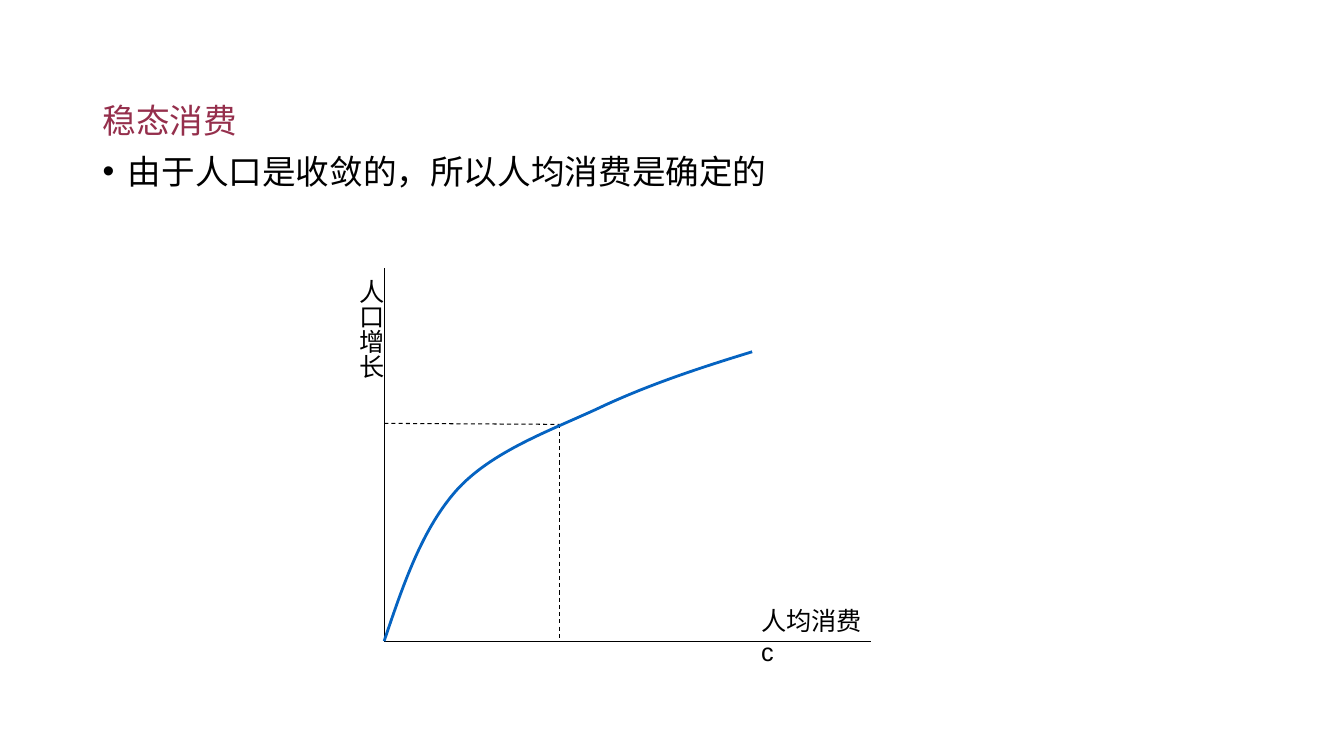
from lxml import etree
from pptx import Presentation
from pptx.dml.color import RGBColor
from pptx.enum import dml, shapes, text
from pptx.oxml import ns
from pptx.util import Inches, Pt

COLORS = {"heading": "952F4C", "ink": "000000", "curve": "0563C1"}
CJK_FONT = "Noto Sans CJK SC"

prs = Presentation()
prs.slide_width, prs.slide_height = Inches(13.33), Inches(7.5)
slide = prs.slides.add_slide(prs.slide_layouts[6])


def write(paragraph, words, size=18, color="ink", font="Arial", bullet=None):
    if bullet:
        props = paragraph._p.get_or_add_pPr()
        props.set("marL", str(Inches(0.25)))
        props.set("indent", str(Inches(-0.25)))
        etree.SubElement(props, ns.qn("a:buFont"), typeface="Arial")
        etree.SubElement(props, ns.qn("a:buChar"), char=bullet)
    run = paragraph.add_run()
    run.text = words
    run.font.name = font
    run.font.size = Pt(size)
    run.font.color.rgb = RGBColor.from_string(COLORS[color])
    etree.SubElement(run._r.get_or_add_rPr(), ns.qn("a:ea"), typeface=CJK_FONT)


def text_frame(left, top, width, height, wrap=True):
    frame = slide.shapes.add_textbox(
        Inches(left), Inches(top), Inches(width), Inches(height)).text_frame
    frame.word_wrap = wrap
    return frame


# Heading and bullet
body = text_frame(0.92, 0.99, 11.46, 5.77)
heading, statement = body.paragraphs[0], body.add_paragraph()
write(heading, "稳态消费", size=24, color="heading", font=CJK_FONT)
write(statement, "由于人口是收敛的，所以人均消费是确定的", size=24, font=CJK_FONT, bullet="•")
heading.line_spacing = statement.line_spacing = 0.9
statement.space_before = Pt(10)

# Axes and dashed guides to the steady state
origin_x, origin_y = 3.81, 6.36
steady_x, steady_y = 5.55, 4.21
for x1, y1, x2, y2, dashed in [
    (origin_x, origin_y, origin_x, 2.66, False),
    (origin_x, origin_y, 8.64, origin_y, False),
    (origin_x, 4.2, steady_x, steady_y, True),
    (steady_x, steady_y, steady_x, origin_y, True),
]:
    line = slide.shapes.add_connector(
        shapes.MSO_CONNECTOR.STRAIGHT, Inches(x1), Inches(y1), Inches(x2), Inches(y2))
    line.line.color.rgb = RGBColor.from_string(COLORS["ink"])
    line.line.width = Pt(0.75)
    if dashed:
        line.line.dash_style = dml.MSO_LINE.DASH
    etree.SubElement(line._element.spPr, ns.qn("a:effectLst"))

# Growth curve: each three points are two handles and an end point
curve_points = [
    (4, 5.8), (4.19, 5.23), (4.55, 4.84),
    (4.92, 4.45), (5.52, 4.25), (6, 4.02),
    (6.48, 3.8), (6.97, 3.64), (7.46, 3.49),
]
builder = slide.shapes.build_freeform(Inches(origin_x), Inches(origin_y))
builder.add_line_segments([(Inches(x), Inches(y)) for x, y in curve_points], close=False)
growth_curve = builder.convert_to_shape()
segments = growth_curve._element.xpath(".//a:lnTo")
for i in range(0, len(segments), 3):
    bezier = etree.Element(ns.qn("a:cubicBezTo"))
    segments[i].addprevious(bezier)
    for segment in segments[i:i + 3]:
        bezier.append(segment[0])
        segment.getparent().remove(segment)
growth_curve.fill.background()
growth_curve.line.color.rgb = RGBColor.from_string(COLORS["curve"])
growth_curve.line.width = Pt(2)
growth_curve.shadow.inherit = False

# Axis labels
consumption_label = text_frame(7.45, 5.96, 1.3, 0.4)
write(consumption_label.paragraphs[0], "人均消费c")

growth_label = text_frame(3.38, 2.67, 0.5, 1.1, wrap=False)
growth_label.auto_size = text.MSO_AUTO_SIZE.SHAPE_TO_FIT_TEXT
growth_label._txBody.bodyPr.set("vert", "eaVert")
write(growth_label.paragraphs[0], "人口增长")

prs.save("out.pptx")
